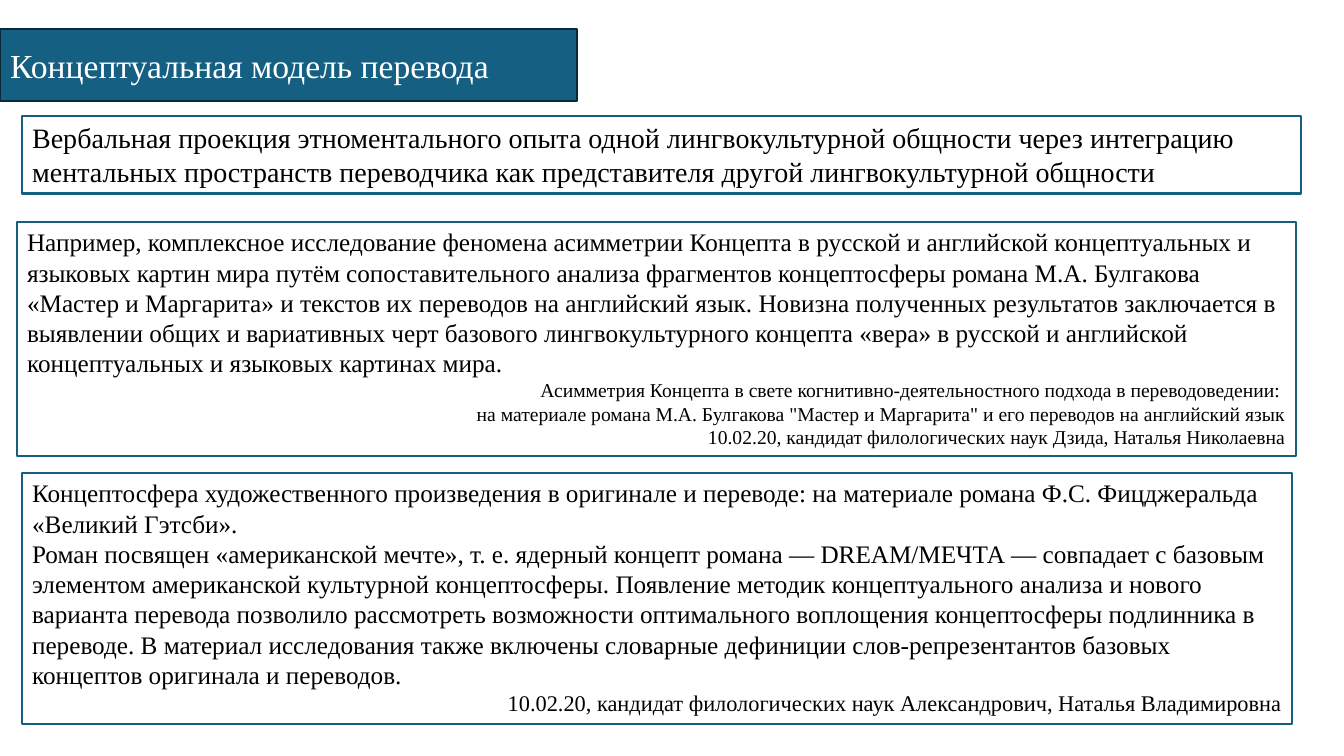
import pptx
import pptx.util
import pptx.dml.color
import pptx.enum.shapes
import pptx.enum.text
import pptx.oxml

PX = 9144
FONT = "Times New Roman"
WHITE = pptx.dml.color.RGBColor(0xFF, 0xFF, 0xFF)
BLACK = pptx.dml.color.RGBColor(0x00, 0x00, 0x00)
TEAL = pptx.dml.color.RGBColor(0x15, 0x60, 0x82)
DARK_TEAL = pptx.dml.color.RGBColor(0x09, 0x2A, 0x39)
LEFT = pptx.enum.text.PP_ALIGN.LEFT
RIGHT = pptx.enum.text.PP_ALIGN.RIGHT

DEFINITION = [
    ("Вербальная проекция этноментального опыта одной лингвокультурной общности через "
     "интеграцию ментальных пространств переводчика как представителя другой "
     "лингвокультурной общности", 20, LEFT),
]
BULGAKOV_STUDY = [
    ("Например, комплексное исследование феномена асимметрии Концепта в русской и английской "
     "концептуальных и языковых картин мира путём сопоставительного анализа фрагментов "
     "концептосферы романа М.А. Булгакова «Мастер и Маргарита» и текстов их переводов на "
     "английский язык. Новизна полученных результатов заключается в выявлении общих и "
     "вариативных черт базового лингвокультурного концепта «вера» в русской и английской "
     "концептуальных и языковых картинах мира.", 18, LEFT),
    ("Асимметрия Концепта в свете когнитивно-деятельностного подхода в переводоведении: ",
     14, RIGHT),
    ("на материале романа М.А. Булгакова \"Мастер и Маргарита\" и его переводов на "
     "английский язык", 14, RIGHT),
    ("10.02.20, кандидат филологических наук Дзида, Наталья Николаевна", 14, RIGHT),
]
FITZGERALD_STUDY = [
    ("Концептосфера художественного произведения в оригинале и переводе: на материале романа "
     "Ф.С. Фицджеральда «Великий Гэтсби».", 18, LEFT),
    ("Роман посвящен «американской мечте», т. е. ядерный концепт романа — DREAM/МЕЧТА — "
     "совпадает с базовым элементом американской культурной концептосферы. Появление методик "
     "концептуального анализа и нового варианта перевода позволило рассмотреть возможности "
     "оптимального воплощения концептосферы подлинника в переводе. В материал исследования "
     "также включены словарные дефиниции слов-репрезентантов базовых концептов оригинала и "
     "переводов.", 18, LEFT),
    ("10.02.20, кандидат филологических наук Александрович, Наталья Владимировна", 16, RIGHT),
]


def paint(panel, fill, line):
    panel.fill.solid()
    panel.fill.fore_color.rgb = fill
    panel.line.color.rgb = line
    panel.line.width = pptx.util.Pt(1.5)
    panel.shadow.inherit = False


def write(frame, passages, color):
    frame.word_wrap = True
    for index, (text, size, align) in enumerate(passages):
        paragraph = frame.add_paragraph() if index else frame.paragraphs[0]
        paragraph.text = text
        paragraph.alignment = align
        paragraph.font.name = FONT
        paragraph.font.size = pptx.util.Pt(size)
        paragraph.font.color.rgb = color


def add_heading(slide, box, text):
    heading = slide.shapes.title
    heading.left, heading.top, heading.width, heading.height = (n * PX for n in box)
    heading.element.spPr.append(pptx.oxml.parse_xml(
        '<a:prstGeom xmlns:a="http://schemas.openxmlformats.org/drawingml/2006/main" '
        'prst="roundRect"><a:avLst/></a:prstGeom>'))
    paint(heading, TEAL, DARK_TEAL)
    heading.text_frame.auto_size = pptx.enum.text.MSO_AUTO_SIZE.NONE
    heading.text_frame.vertical_anchor = pptx.enum.text.MSO_ANCHOR.MIDDLE
    write(heading.text_frame, [(text, 24, LEFT)], WHITE)


def add_panel(slide, box, passages):
    panel = slide.shapes.add_shape(
        pptx.enum.shapes.MSO_SHAPE.RECTANGLE, *(n * PX for n in box))
    paint(panel, WHITE, TEAL)
    panel.text_frame.auto_size = pptx.enum.text.MSO_AUTO_SIZE.SHAPE_TO_FIT_TEXT
    panel.text_frame.vertical_anchor = pptx.enum.text.MSO_ANCHOR.TOP
    write(panel.text_frame, passages, BLACK)


def main():
    deck = pptx.Presentation()
    deck.slide_width, deck.slide_height = 1333 * PX, 750 * PX
    slide = deck.slides.add_slide(deck.slide_layouts[5])
    add_heading(slide, (0, 29, 572, 71), "Концептуальная модель перевода")
    add_panel(slide, (22, 115, 1268, 77), DEFINITION)
    add_panel(slide, (17, 220, 1268, 232), BULGAKOV_STUDY)
    add_panel(slide, (22, 469, 1259, 249), FITZGERALD_STUDY)
    deck.save("out.pptx")


if __name__ == "__main__":
    main()
